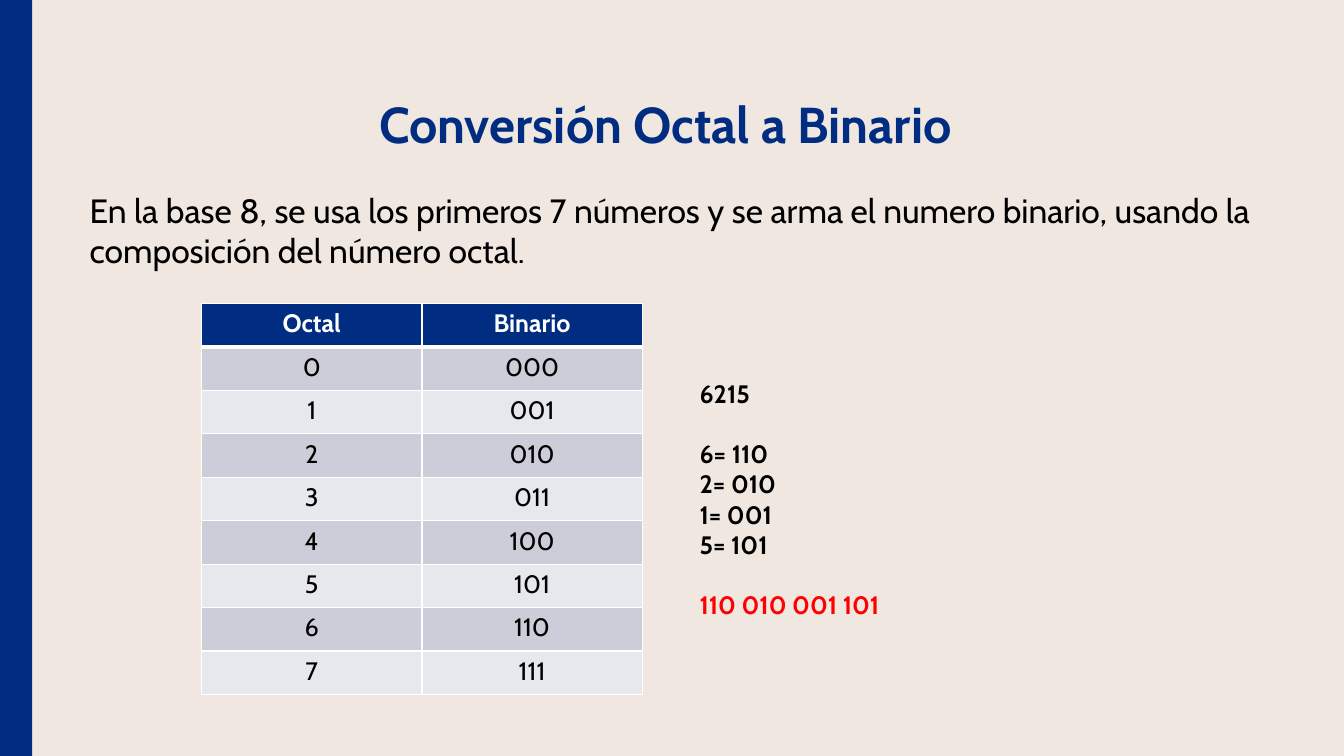
from lxml import etree
from pptx import Presentation
from pptx.dml.color import RGBColor
from pptx.enum.shapes import MSO_SHAPE
from pptx.enum.text import MSO_ANCHOR, PP_ALIGN
from pptx.oxml.ns import qn
from pptx.util import Inches, Pt

RECTANGLE = MSO_SHAPE.RECTANGLE
MIDDLE = MSO_ANCHOR.MIDDLE
CENTER, LEFT = PP_ALIGN.CENTER, PP_ALIGN.LEFT
NAVY, BLACK, WHITE, RED = "002C81", "000000", "FFFFFF", "FF0000"
BAND_COLORS = ["E7E8ED", "CCCDD8"]


def color(hex_value):
    return RGBColor.from_string(hex_value)


def write(paragraph, text, size, hex_value, bold=False, align=LEFT):
    paragraph.alignment = align
    run = paragraph.add_run()
    run.text = text
    font_format = {"name": "Cabin", "size": Pt(size), "bold": bold}
    for attribute, value in font_format.items():
        setattr(run.font, attribute, value)
    run.font.color.rgb = color(hex_value)


presentation = Presentation()
presentation.slide_width = Inches(13.33)
presentation.slide_height = Inches(7.5)
slide = presentation.slides.add_slide(presentation.slide_layouts[6])
slide.background.fill.solid()
slide.background.fill.fore_color.rgb = color("F0E7E1")

# Side bar
side_bar = slide.shapes.add_shape(RECTANGLE, 0, 0, Inches(0.32), Inches(7.5))
side_bar.shadow.inherit = False
side_bar.fill.solid()
side_bar.fill.fore_color.rgb = color(NAVY)
side_bar.line.fill.background()

# Title
title = slide.shapes.add_textbox(Inches(1.39), Inches(0.38), Inches(10.42), Inches(1.79))
title_format = {"word_wrap": True, "vertical_anchor": MIDDLE, "margin_left": 0,
                "margin_right": 0, "margin_top": 0, "margin_bottom": 0}
for attribute, value in title_format.items():
    setattr(title.text_frame, attribute, value)
title_paragraph = title.text_frame.paragraphs[0]
title_paragraph.line_spacing = Pt(35.6)
write(title_paragraph, "Conversión Octal a Binario", 36, NAVY, True, CENTER)

# Explanation
explanation = slide.shapes.add_textbox(Inches(0.79), Inches(1.83), Inches(12.28), Inches(0.91))
explanation.text_frame.word_wrap = True
write(explanation.text_frame.paragraphs[0],
      "En la base 8, se usa los primeros 7 números y se arma el numero binario, "
      "usando la composición del número octal.", 24, BLACK)

# Table of octal digits and their three bits
rows = [("Octal", "Binario")] + [(str(digit), f"{digit:03b}") for digit in range(8)]
table = slide.shapes.add_table(len(rows), 2, Inches(2), Inches(3.01),
                               Inches(4.37), Inches(3.88)).table
for row_index, row in enumerate(rows):
    is_header = row_index == 0
    border_widths = {"a:lnL": 1, "a:lnR": 1,
                     "a:lnT": 3 if row_index == 1 else 1,
                     "a:lnB": 3 if is_header else 1}
    for column_index, text in enumerate(row):
        cell = table.cell(row_index, column_index)
        write(cell.text_frame.paragraphs[0], text, 18,
              WHITE if is_header else BLACK, is_header, CENTER)
        cell.fill.solid()
        cell.fill.fore_color.rgb = color(NAVY if is_header else BAND_COLORS[row_index % 2])
        properties = cell._tc.get_or_add_tcPr()
        for position, (tag, width) in enumerate(border_widths.items()):
            border = etree.Element(qn(tag), w=str(Pt(width)))
            border_fill = etree.SubElement(border, qn("a:solidFill"))
            etree.SubElement(border_fill, qn("a:srgbClr"), val=WHITE)
            properties.insert(position, border)

# Worked example: text, colour, space before in points
example_lines = [("6215", BLACK, 0), ("6= 110", BLACK, 21.6), ("2= 010", BLACK, 0),
                 ("1= 001", BLACK, 0), ("5= 101", BLACK, 0),
                 ("110 010 001 101", RED, 21.6)]
example = slide.shapes.add_textbox(Inches(6.84), Inches(3.7), Inches(5.28), Inches(2.52))
example.text_frame.word_wrap = True
for index, (text, hex_value, space_before) in enumerate(example_lines):
    paragraph = example.text_frame.paragraphs[0] if index == 0 else example.text_frame.add_paragraph()
    paragraph.space_before = Pt(space_before)
    write(paragraph, text, 18, hex_value, True)

presentation.save("out.pptx")
